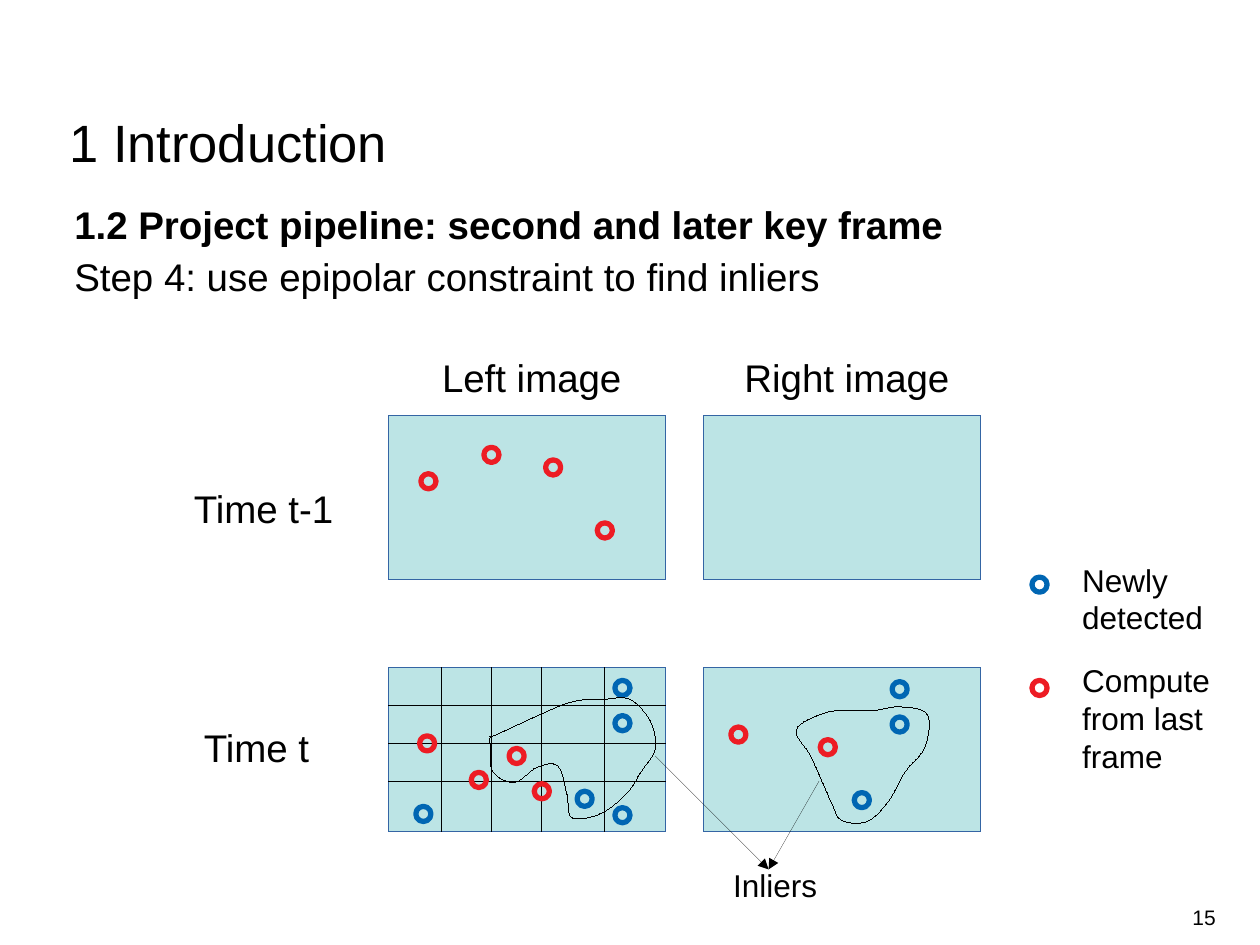
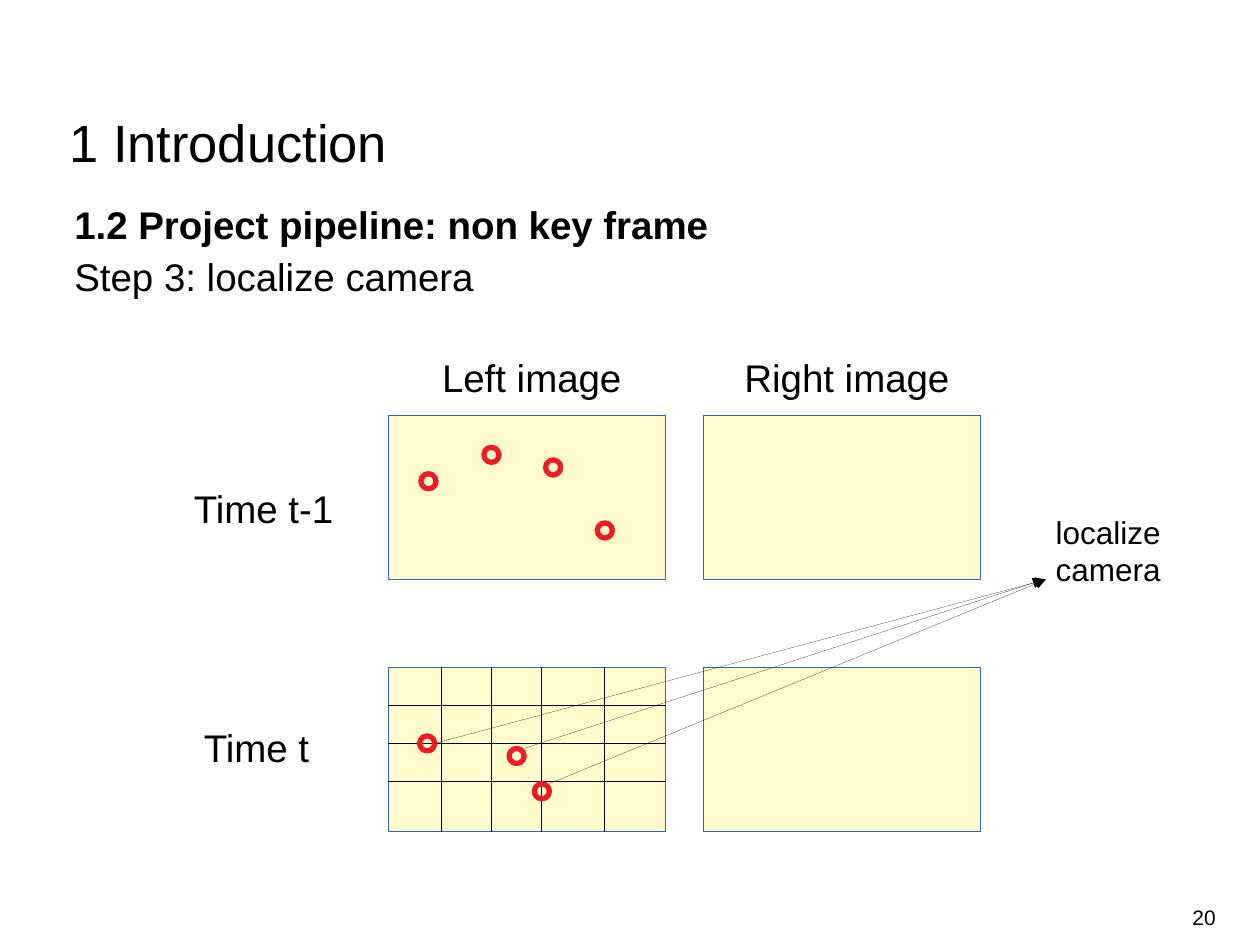
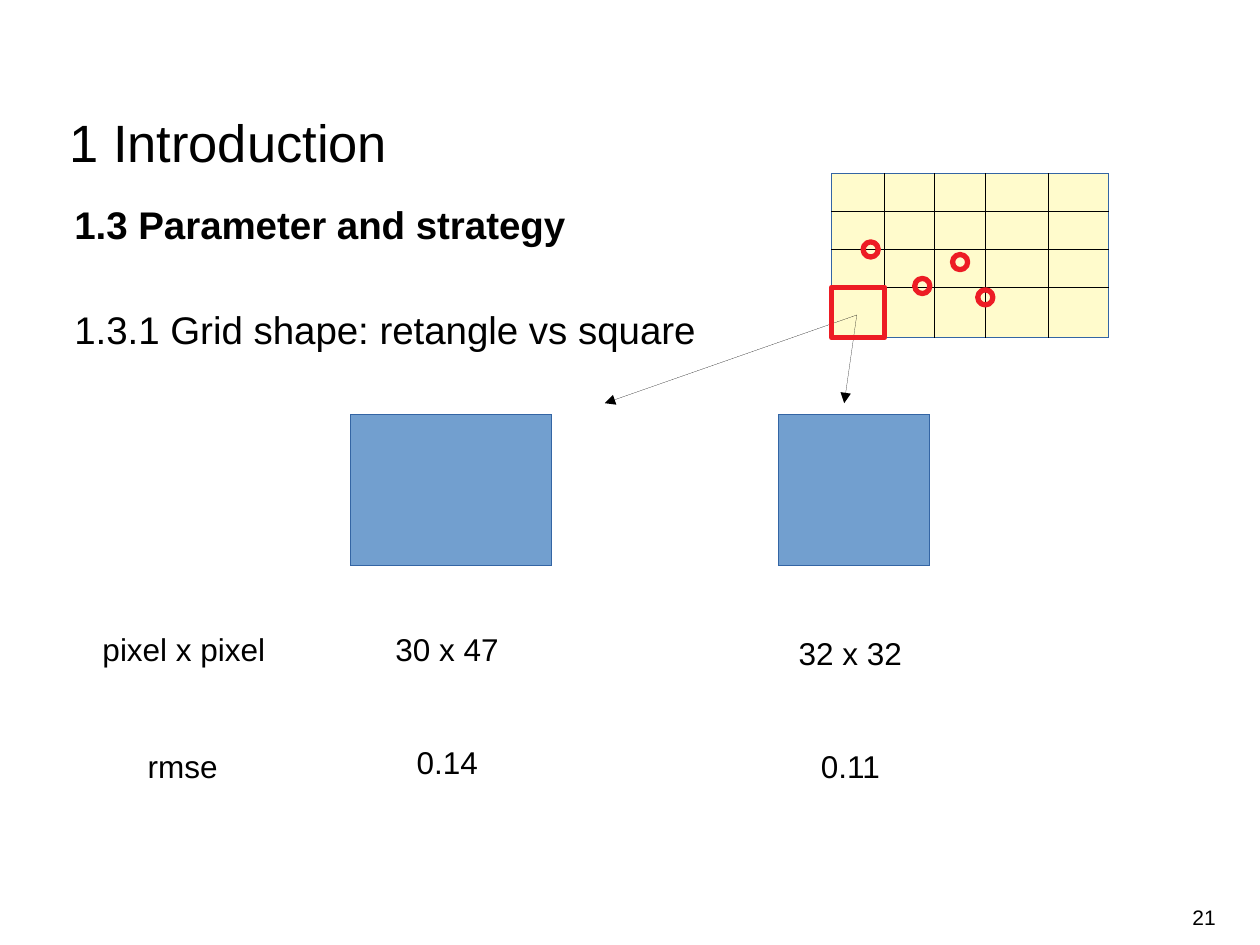
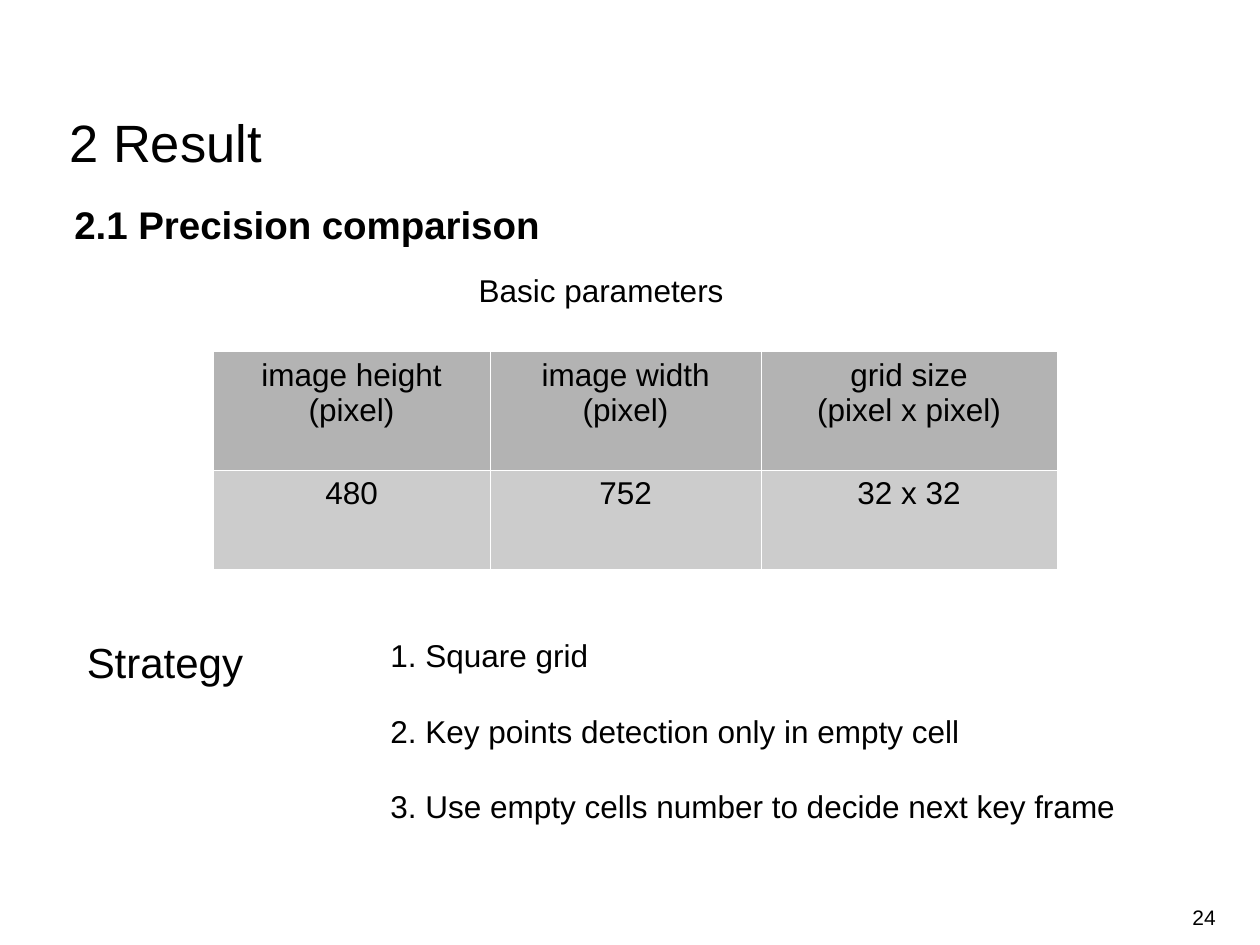
from lxml import etree
from pptx import Presentation
from pptx.dml.color import RGBColor
from pptx.enum.shapes import MSO_CONNECTOR, MSO_SHAPE
from pptx.enum.text import MSO_ANCHOR, MSO_AUTO_SIZE, PP_ALIGN
from pptx.oxml.ns import qn
from pptx.util import Inches, Pt

RECT, OVAL = MSO_SHAPE.RECTANGLE, MSO_SHAPE.OVAL
LINE = MSO_CONNECTOR.STRAIGHT
LEFT, MID, RIGHT = PP_ALIGN.LEFT, PP_ALIGN.CENTER, PP_ALIGN.RIGHT
TOP, CENTER = MSO_ANCHOR.TOP, MSO_ANCHOR.MIDDLE
FIXED = MSO_AUTO_SIZE.NONE

FONT = "Arial"
COLORS = {
    "ink": "000000", "edge": "3465A4", "teal": "BCE4E5", "cream": "FFFBCC",
    "blue": "729FCF", "red": "ED1C24", "new": "0066B3",
    "head": "B3B3B3", "cell": "CCCCCC", "white": "FFFFFF",
}
PANE = (2.2, 1.3)
DOT = 0.12
COLS, ROWS = (3.08, 5.58), (3.3, 5.3)
GRID_X, GRID_Y = (0.42, 0.82, 1.22, 1.72), (0.3, 0.6, 0.9)
OLD = [(0.26, 0.46), (0.76, 0.25), (1.25, 0.35), (1.66, 0.85)]
KEPT = [(0.25, 0.54), (0.96, 0.64), (1.16, 0.92)]
FOUND = KEPT + [(0.66, 0.83)]
FRESH = [(0.22, 1.1), (1.8, 0.1), (1.5, 0.98), (1.8, 1.11), (1.8, 0.38)]
FRESH_R = [(1.5, 0.11), (1.2, 0.99), (1.5, 0.39)]
FOUND_R = [(0.22, 0.47), (0.93, 0.57)]
BLOB = [
    (0.86, 0.53), (1.32, 0.32), (1.51, 0.26), (1.71, 0.25), (1.92, 0.25),
    (2.08, 0.42), (2.12, 0.64), (2.01, 0.82), (1.89, 1), (1.68, 1.16),
    (1.46, 1.19), (1.42, 1.01), (1.35, 0.78), (1.18, 0.79), (1, 0.91),
    (0.83, 0.82), (0.81, 0.61), (0.81, 0.55),
]
BLOB_R = [
    (1.02, 1.07), (0.86, 0.71), (0.74, 0.49), (0.96, 0.36), (1.14, 0.34),
    (1.35, 0.34), (1.56, 0.31), (1.78, 0.37), (1.76, 0.63), (1.6, 0.83),
    (1.47, 1.06), (1.3, 1.22), (1.1, 1.21),
]


def color(name):
    """Return the named colour."""
    return RGBColor.from_string(COLORS[name])


def write(frame, text, size=18, align=LEFT, wrap=True, anchor=TOP,
          inset=(0.1, 0.05), gap=0, space=None, lead=False, plain=False):
    """Fill a text frame, one paragraph for each line of the text."""
    frame.auto_size = FIXED
    frame.word_wrap = wrap
    frame.vertical_anchor = anchor
    frame.margin_left = frame.margin_right = Inches(inset[0])
    frame.margin_top = frame.margin_bottom = Inches(inset[1])
    for i, line in enumerate(text.split("\n")):
        para = frame.add_paragraph() if i else frame.paragraphs[0]
        if plain:
            prop = para._p.get_or_add_pPr()
            prop.set("marL", "0")
            prop.set("indent", "0")
            etree.SubElement(prop, qn("a:buNone"))
        para.alignment = align
        para.space_before = Pt(gap if i else 0)
        if space:
            para.line_spacing = space
        run = para.add_run()
        run.text = line
        run.font.name, run.font.size = FONT, Pt(size)
        run.font.bold = lead and i == 0
        run.font.color.rgb = color("ink")


def label(slide, text, box, **style):
    """Add a text box."""
    shape = slide.shapes.add_textbox(*map(Inches, box))
    write(shape.text_frame, text, **style)


def stroke(shape, edge, width=0):
    """Set the outline, writing a zero width out in full."""
    shape.line.color.rgb = color(edge)
    shape.line._get_or_add_ln().set("w", str(Pt(width)))


def paint(shape, fill, edge, width):
    """Set the fill and outline of a shape."""
    shape.shadow.inherit = False
    if fill:
        shape.fill.solid()
        shape.fill.fore_color.rgb = color(fill)
    else:
        shape.fill.background()
    stroke(shape, edge, width)


def block(slide, kind, box, fill=None, edge="edge", width=0):
    """Add a preset shape."""
    paint(slide.shapes.add_shape(kind, *map(Inches, box)), fill, edge, width)


def rule(slide, start, end, arrow=False):
    """Add a hairline, with an arrowhead at its end if asked."""
    line = slide.shapes.add_connector(LINE, *map(Inches, (*start, *end)))
    line._element.remove(line._element.find(qn("p:style")))
    stroke(line, "ink")
    if arrow:
        etree.SubElement(line.line._get_or_add_ln(), qn("a:tailEnd"), type="triangle")
    etree.SubElement(line._element.spPr, qn("a:effectLst"))


def dots(slide, spots, origin, tone="red"):
    """Draw key points as rings relative to an origin."""
    for x, y in spots:
        block(slide, OVAL, (origin[0] + x, origin[1] + y, DOT, DOT), edge=tone, width=3)


def grid(slide, origin):
    """Draw the cell lines of a pane."""
    left, top = origin
    for y in GRID_Y:
        rule(slide, (left, top + y), (left + PANE[0], top + y))
    for x in GRID_X:
        rule(slide, (left + x, top), (left + x, top + PANE[1]))


def smooth(shape):
    """Turn the sides of a closed outline into smooth curves."""
    sides = list(shape._element.iter(qn("a:lnTo")))
    knots = [(int(side[0].get("x")), int(side[0].get("y"))) for side in sides]
    for i, side in enumerate(sides):
        last, start, end, after = [knots[(i + k) % len(knots)] for k in (-2, -1, 0, 1)]
        out = [b + (c - a) / 6 for a, b, c in zip(last, start, end)]
        into = [c - (d - b) / 6 for b, c, d in zip(start, end, after)]
        curve = etree.Element(qn("a:cubicBezTo"))
        for x, y in (out, into, end):
            etree.SubElement(curve, qn("a:pt"), x=str(round(x)), y=str(round(y)))
        side.getparent().replace(side, curve)


def blob(slide, knots, origin):
    """Draw a smooth closed outline through the knots."""
    spots = [[Inches(o + v) for o, v in zip(origin, knot)] for knot in knots]
    pen = slide.shapes.build_freeform(*spots[0])
    pen.add_line_segments(spots[1:] + spots[:1], close=True)
    shape = pen.convert_to_shape()
    smooth(shape)
    paint(shape, None, "ink", 0)


def base(deck, title, body, number, gap=0):
    """Add a slide with its title, body and number."""
    slide = deck.slides.add_slide(deck.slide_layouts[1])
    head, main = slide.shapes.title, slide.placeholders[1]
    for shape, box in ((head, (0.55, 0.93, 6.85, 0.45)), (main, (0.59, 1.54, 8.85, 4.87))):
        shape.left, shape.top, shape.width, shape.height = map(Inches, box)
    write(head.text_frame, title, size=30, inset=(0, 0), space=Pt(32))
    write(main.text_frame, body, size=22, inset=(0, 0), space=1.14,
          gap=gap, lead=True, plain=True)
    label(slide, number, (7.41, 7.08, 2.24, 0.4), size=12, align=RIGHT,
          anchor=CENTER, inset=(0, 0.05))
    return slide


def panes(slide, fill):
    """Draw the four image panes with their labels and old points."""
    for y in ROWS:
        for x in COLS:
            block(slide, RECT, (x, y, *PANE), fill)
    label(slide, "Left image", (3.41, 2.76, 1.62, 0.44), size=22, wrap=False)
    label(slide, "Right image", (5.81, 2.76, 1.83, 0.44), size=22, wrap=False)
    label(slide, "Time t-1", (1.44, 3.8, 1.32, 0.78), size=22)
    label(slide, "Time t", (1.52, 5.7, 1.03, 0.44), size=22, wrap=False)
    grid(slide, (COLS[0], ROWS[1]))
    dots(slide, OLD, (COLS[0], ROWS[0]))


def legend(slide, box):
    """Explain the two ring colours."""
    x, y = box
    dots(slide, [(0, 0.18)], box, "new")
    dots(slide, [(0, 1)], box)
    label(slide, "Newly detected", (x + 0.3, y, 1.2, 0.66))
    label(slide, "Compute from last frame", (x + 0.3, y + 0.8, 1.3, 1.22))


def inliers(deck):
    """Build the slide on finding inliers."""
    slide = base(deck, "1 Introduction", "1.2 Project pipeline: second and later key frame\n"
                 "Step 4: use epipolar constraint to find inliers", "15")
    panes(slide, "teal")
    left, right = [(x, ROWS[1]) for x in COLS]
    dots(slide, FOUND, left)
    dots(slide, FRESH, left, "new")
    dots(slide, FRESH_R, right, "new")
    dots(slide, FOUND_R, right)
    blob(slide, BLOB, left)
    blob(slide, BLOB_R, right)
    for start in ((5.2, 6), (6.5, 6.2)):
        rule(slide, start, (6.1, 6.9), arrow=True)
    label(slide, "Inliers", (5.72, 6.82, 0.86, 0.38), wrap=False)
    legend(slide, (8.19, 4.4))


def locate(deck):
    """Build the slide on camera localization."""
    slide = base(deck, "1 Introduction", "1.2 Project pipeline: non key frame\n"
                 "Step 3: localize camera", "20")
    panes(slide, "cream")
    dots(slide, KEPT, (COLS[0], ROWS[1]))
    for start, end in (((3.45, 5.9), 8.3), ((4.36, 6.22), 8.3), ((4.16, 5.94), 8.28)):
        rule(slide, start, (end, 4.6), arrow=True)
    label(slide, "localize\ncamera", (8.28, 4.02, 1.1, 0.66), wrap=False)


def shapes(deck):
    """Build the slide that compares grid shapes."""
    slide = base(deck, "1 Introduction", "1.3 Parameter and strategy\n"
                 "1.3.1 Grid shape: retangle vs square", "21", gap=30)
    for x, width in ((2.78, 1.6), (6.18, 1.2)):
        block(slide, RECT, (x, 3.29, width, 1.2), "blue")
    for text, x, y, width, align in (
            ("30 x 47", 3.04, 4.95, 1.1, LEFT), ("32 x 32", 6.24, 4.98, 1.1, LEFT),
            ("pixel x pixel", 0.61, 4.95, 1.7, MID), ("rmse", 0.6, 5.88, 1.7, MID),
            ("0.14", 3, 5.85, 1.1, MID), ("0.11", 6.2, 5.88, 1.1, MID)):
        label(slide, text, (x, y, width, 0.38), align=align)
    left, top = spot = (6.6, 1.38)
    block(slide, RECT, (*spot, *PANE), "cream")
    grid(slide, spot)
    dots(slide, FOUND, spot)
    for end in ((4.8, 3.2), (6.7, 3.2)):
        rule(slide, (6.8, 2.5), end, arrow=True)
    low = GRID_Y[-1]
    block(slide, RECT, (left, top + low, GRID_X[0], PANE[1] - low), edge="red", width=3)


def border(cell):
    """Give a cell thin white borders."""
    prop = cell._tc.get_or_add_tcPr()
    for side in ("lnL", "lnR", "lnT", "lnB"):
        line = etree.SubElement(prop, qn("a:" + side), w=str(Pt(0.06)))
        fill = etree.SubElement(line, qn("a:solidFill"))
        etree.SubElement(fill, qn("a:srgbClr"), val=COLORS["white"])


def table(slide, rows, box, widths, heights):
    """Add the parameter table."""
    sheet = slide.shapes.add_table(len(rows), len(widths), *map(Inches, box)).table
    for col, width in zip(sheet.columns, widths):
        col.width = Inches(width)
    for r, (texts, height) in enumerate(zip(rows, heights)):
        sheet.rows[r].height = Inches(height)
        for c, text in enumerate(texts):
            cell = sheet.cell(r, c)
            border(cell)
            cell.fill.solid()
            cell.fill.fore_color.rgb = color("cell" if r else "head")
            cell.margin_left = cell.margin_right = Inches(0.1)
            write(cell.text_frame, text, align=MID)


def result(deck):
    """Build the slide of basic parameters and strategy."""
    slide = base(deck, "2 Result", "2.1 Precision comparison", "24")
    rows = [("image height\n(pixel)", "image width\n(pixel)", "grid size\n(pixel x pixel)"),
            ("480", "752", "32 x 32")]
    table(slide, rows, (1.69, 2.79, 6.7, 1.73), (2.2, 2.15, 2.35), (0.94, 0.79))
    label(slide, "Basic parameters", (3.7, 2.1, 2.6, 0.46))
    label(slide, "1. Square grid\n2. Key points detection only in empty cell\n"
          "3. Use empty cells number to decide next key frame", (3, 5, 6.2, 1.78), gap=21.5)
    label(slide, "Strategy", (0.59, 5, 1.91, 0.47), size=24)


def main():
    """Build and save the deck."""
    deck = Presentation()
    deck.slide_width, deck.slide_height = Inches(10), Inches(7.5)
    for build in (inliers, locate, shapes, result):
        build(deck)
    deck.save("out.pptx")


if __name__ == "__main__":
    main()
